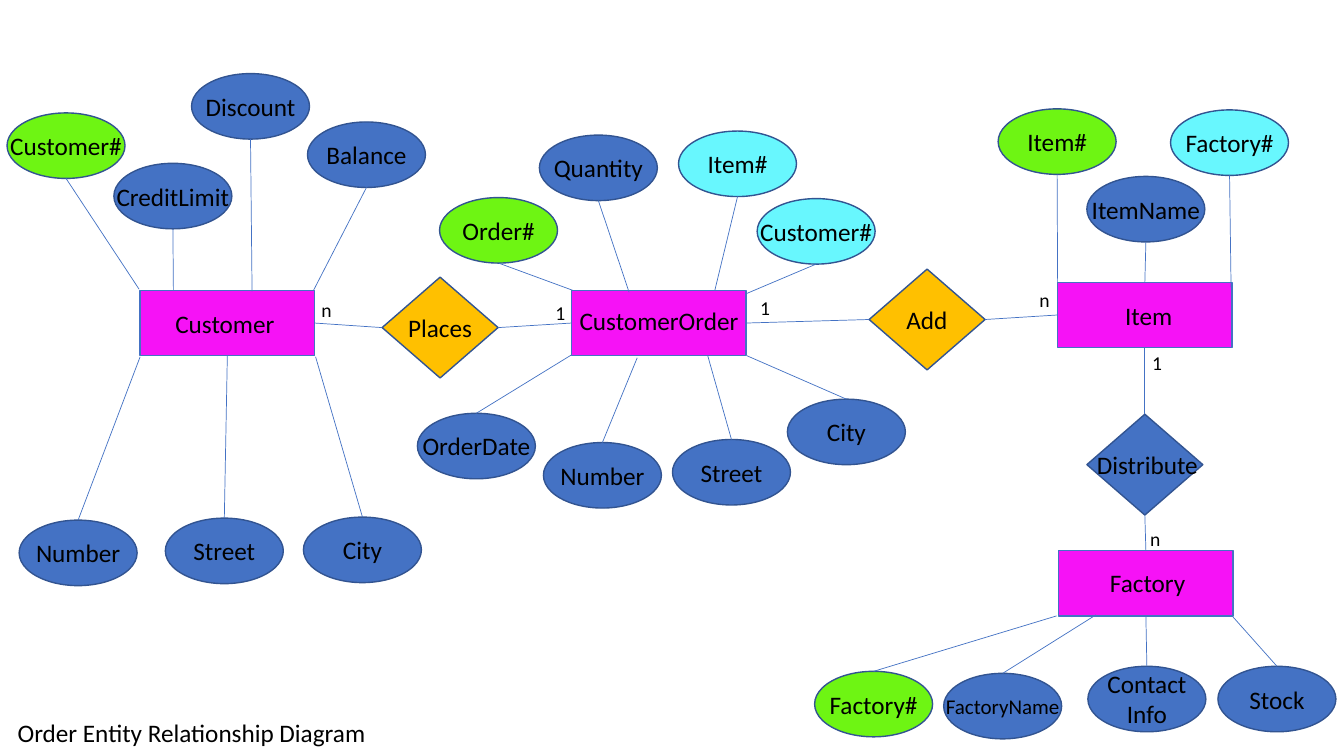
from lxml import etree
from pptx import Presentation
from pptx.dml.color import RGBColor
from pptx.enum.shapes import MSO_CONNECTOR, MSO_SHAPE
from pptx.enum.text import MSO_AUTO_SIZE, PP_ALIGN
from pptx.oxml.ns import qn
from pptx.util import Inches, Pt

BLACK = RGBColor(0x00, 0x00, 0x00)
BLUE = RGBColor(0x44, 0x72, 0xC4)
NAVY = RGBColor(0x32, 0x54, 0x91)
MAGENTA = RGBColor(0xF6, 0x12, 0xF6)
GREEN = RGBColor(0x6E, 0xF5, 0x13)
CYAN = RGBColor(0x68, 0xF7, 0xFE)
AMBER = RGBColor(0xFF, 0xC0, 0x00)

ENTITY = (1.73, 0.65)
RELATION = (1.15, 1)
OVAL = (1.17, 0.65)


class Diagram:
    """Draws entity-relationship elements on one slide in one style."""

    font = {"name": "Calibri", "bold": False}
    frame = {"word_wrap": True, "auto_size": MSO_AUTO_SIZE.SHAPE_TO_FIT_TEXT}

    def __init__(self, slide):
        self.s = slide

    def text(self, text, x, y, w, h=0.4, size=18, align=PP_ALIGN.LEFT, shapes=None):
        sp = (shapes or self.s.shapes).add_textbox(*map(Inches, (x, y, w, h)))
        tf = sp.text_frame
        for key, value in self.frame.items():
            setattr(tf, key, value)
        p = tf.paragraphs[0]
        p.alignment = align
        r = p.add_run()
        r.text = text
        for key, value in {**self.font, "size": Pt(size)}.items():
            setattr(r.font, key, value)
        r.font.color.rgb = BLACK

    def node(self, kind, box, fill, line, label, *where, **style):
        shapes = self.s.shapes.add_group_shape().shapes
        sp = shapes.add_shape(kind, *map(Inches, box))
        sp.shadow.inherit = False
        sp.fill.solid()
        sp.fill.fore_color.rgb = fill
        sp.line.color.rgb = line
        sp.line.width = Pt(1)
        self.text(label, *where, shapes=shapes, **style)
        return sp

    def entity(self, label, x, y, dx, dy, w):
        return self.node(MSO_SHAPE.RECTANGLE, (x, y, *ENTITY), MAGENTA, BLUE,
                         label, x + dx, y + dy, w)

    def relation(self, label, x, y, fill, dx, w):
        return self.node(MSO_SHAPE.DIAMOND, (x, y, *RELATION), fill, NAVY,
                         label, x + dx, y + 0.3, w)

    def attribute(self, entity, label, x, y, fill, end, h=0.4, size=18):
        w, oval_h = OVAL
        sp = self.node(MSO_SHAPE.OVAL, (x, y, *OVAL), fill, NAVY, label,
                       x + w / 2 - 0.67, y + (oval_h - h) / 2, 1.34, h,
                       size=size, align=PP_ALIGN.CENTER)
        above = sp.top < entity.top
        start = (x + w / 2, y + oval_h) if above else (sp, 0)
        self.line(start, (entity, end) if isinstance(end, int) else end)

    def line(self, start, end):
        glued = [not isinstance(a[0], (int, float)) for a in (start, end)]
        points = [(0, 0) if g else a for g, a in zip(glued, (start, end))]
        cx = self.s.shapes.add_connector(
            MSO_CONNECTOR.STRAIGHT, *(Inches(v) for pt in points for v in pt))
        if glued[0]:
            cx.begin_connect(*start)
        if glued[1]:
            cx.end_connect(*end)
        cx.line.color.rgb = BLUE
        cx.line.width = Pt(0.5)
        etree.SubElement(cx._element.spPr, qn("a:effectLst"))


def main():
    prs = Presentation()
    prs.slide_width, prs.slide_height = Inches(13.33), Inches(7.5)
    d = Diagram(prs.slides.add_slide(prs.slide_layouts[6]))

    customer = d.entity("Customer", 1.39, 2.88, 0.25, 0.13, 1.32)
    order = d.entity("CustomerOrder", 5.67, 2.88, -0.02, 0.1, 1.79)
    item = d.entity("Item", 10.49, 2.8, 0.57, 0.13, 1.01)
    factory = d.entity("Factory", 10.5, 5.46, 0.41, 0.12, 1.01)

    places = d.relation("Places", 3.79, 2.75, AMBER, 0.16, 0.94)
    add = d.relation("Add", 8.62, 2.67, AMBER, 0.27, 0.65)
    distribute = d.relation("Distribute", 10.78, 4.11, BLUE, 0, 1.23)

    for start, end in [
        ((places, 1), (customer, 3)), ((order, 1), (places, 3)),
        ((item, 1), (add, 3)), ((add, 1), (order, 3)),
        ((item, 2), (distribute, 0)), ((distribute, 2), (factory, 0)),
    ]:
        d.line(start, end)

    for entity, *attribute in [
        (customer, "Customer#", 0.07, 1.12, GREEN, (1.38, 2.87)),
        (customer, "Discount", 1.9, 0.73, BLUE, (2.5, 2.89)),
        (customer, "Balance", 3.05, 1.21, BLUE, (3.11, 2.88)),
        (customer, "CreditLimit", 1.13, 1.62, BLUE, (1.72, 2.88)),
        (customer, "Number", 0.19, 5.16, BLUE, (1.39, 3.54)),
        (customer, "Street", 1.64, 5.14, BLUE, 2),
        (customer, "City", 3.01, 5.13, BLUE, (3.13, 3.54)),
        (order, "Order#", 4.36, 1.96, GREEN, (5.68, 2.88)),
        (order, "Quantity", 5.35, 1.34, BLUE, (6.24, 2.9)),
        (order, "Item#", 6.73, 1.3, CYAN, (7.09, 2.88)),
        (order, "Customer#", 7.51, 1.97, CYAN, (7.41, 2.91)),
        (order, "OrderDate", 4.14, 4.1, BLUE, (5.67, 3.52)),
        (order, "Number", 5.39, 4.39, BLUE, (6.32, 3.55)),
        (order, "Street", 6.67, 4.36, BLUE, (7.02, 3.53)),
        (order, "City", 7.81, 3.96, BLUE, (7.41, 3.53)),
        (item, "Item#", 9.9, 1.08, GREEN, (10.49, 2.83)),
        (item, "Factory#", 11.61, 1.09, CYAN, (12.21, 2.85)),
        (item, "ItemName", 10.78, 1.75, BLUE, 0),
        (factory, "Factory#", 8.08, 6.66, GREEN, (10.48, 6.11)),
        (factory, "FactoryName", 9.36, 6.68, BLUE, (10.87, 6.1), 0.35, 15),
        (factory, "Contact Info", 10.79, 6.61, BLUE, 2, 0.71),
        (factory, "Stock", 12.08, 6.61, BLUE, (12.22, 6.11)),
    ]:
        d.attribute(entity, *attribute)

    for cardinality, x, y in [
        ("n", 3.09, 2.91), ("1", 5.41, 2.94), ("1", 7.44, 2.89),
        ("n", 10.21, 2.81), ("1", 11.33, 3.43), ("n", 11.31, 5.18),
    ]:
        d.text(cardinality, x, y, 0.34, 0.34, size=14)

    d.text("Order Entity Relationship Diagram", -0.9, 7.07, 5.6,
           align=PP_ALIGN.CENTER)
    prs.save("out.pptx")


if __name__ == "__main__":
    main()
